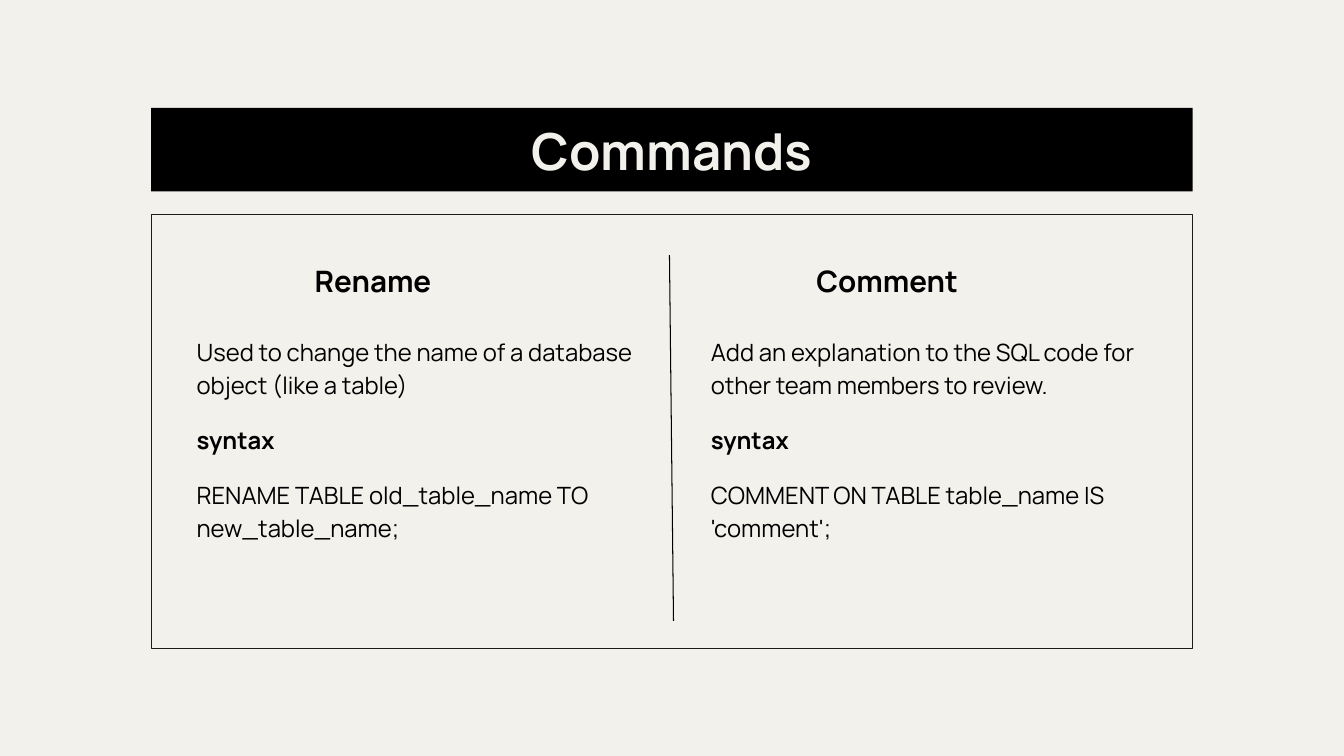
from lxml.etree import SubElement
from pptx import Presentation
from pptx.dml.color import RGBColor
from pptx.enum.shapes import MSO_CONNECTOR, MSO_SHAPE
from pptx.enum.text import MSO_ANCHOR, PP_ALIGN
from pptx.oxml.ns import qn
from pptx.util import Inches, Pt

COLORS = {"paper": "F3F1EC", "black": "000000", "frame": "1C1B1A"}
FONT = "Manrope"

HEADING = {"alignment": PP_ALIGN.CENTER, "line_spacing": 0.95, "space_after": Pt(16)}
BODY = {"alignment": PP_ALIGN.LEFT, "line_spacing": 1.15}
SYNTAX = {**BODY, "space_before": Pt(16)}
CODE = {**SYNTAX, "space_after": Pt(16)}

# Left edge, body width, heading, description, code
COLUMNS = [
    (1.82, 4.59, "Rename",
     "Used to change the name of a database object (like a table)",
     "RENAME TABLE old_table_name TO new_table_name;"),
    (6.92, 4.91, "Comment",
     "Add an explanation to the SQL code for other team members to review.",
     "COMMENT ON TABLE table_name IS 'comment';"),
]


def color(name):
    return RGBColor.from_string(COLORS[name])


def apply(target, values):
    for name, value in values.items():
        setattr(target, name, value)


class SlideBuilder:
    def __init__(self, page):
        self.page = page
        page.background.fill.solid()
        page.background.fill.fore_color.rgb = color("paper")

    def rectangle(self, left, top, width, height, fill=None, line=None):
        box = self.page.shapes.add_shape(
            MSO_SHAPE.RECTANGLE, *map(Inches, (left, top, width, height)))
        box.shadow.inherit = False
        if fill:
            box.fill.solid()
            box.fill.fore_color.rgb = color(fill)
        else:
            box.fill.background()
        if line:
            box.line.color.rgb = color(line)
            box.line.width = Pt(0.75)
        else:
            box.line.fill.background()
        return box

    def set_text(self, box, paragraphs, size, ink="black", anchor=MSO_ANCHOR.MIDDLE):
        """Fill a box with (text, bold, paragraph format) entries."""
        frame = box.text_frame
        margins = dict.fromkeys(
            ("margin_left", "margin_top", "margin_right", "margin_bottom"), Inches(0.13))
        apply(frame, {"word_wrap": True, "vertical_anchor": anchor, **margins})
        for index, (text, bold, layout) in enumerate(paragraphs):
            para = frame.add_paragraph() if index else frame.paragraphs[0]
            apply(para, layout)
            span = para.add_run()
            span.text = text
            apply(span.font, {"name": FONT, "size": Pt(size), "bold": bold})
            span.font.color.rgb = color(ink)

    def text(self, left, top, width, height, paragraphs, size, **options):
        box = self.page.shapes.add_textbox(*map(Inches, (left, top, width, height)))
        self.set_text(box, paragraphs, size, **options)

    def line(self, *ends):
        rule = self.page.shapes.add_connector(MSO_CONNECTOR.STRAIGHT, *map(Inches, ends))
        rule.line.color.rgb = color("black")
        rule.line.width = Pt(0.75)
        SubElement(rule._element.spPr, qn("a:effectLst"))


def main():
    deck = Presentation()
    deck.slide_width, deck.slide_height = Inches(13.33), Inches(7.5)
    slide = SlideBuilder(deck.slides.add_slide(deck.slide_layouts[6]))

    # Frame and title bar
    slide.rectangle(1.5, 2.13, 10.33, 4.3, line="frame")
    title = slide.rectangle(1.5, 1.07, 10.33, 0.83, fill="black")
    slide.set_text(title, [("Commands", True, {"alignment": PP_ALIGN.CENTER})],
                   36.4, ink="paper")

    # Command columns
    for left, width, heading, description, code in COLUMNS:
        slide.text(left, 3.18, width, 2.99,
                   [(description, False, BODY), ("syntax", True, SYNTAX), (code, False, CODE)],
                   17, anchor=MSO_ANCHOR.TOP)
        slide.text(left, 2.53, 3.76, 0.54, [(heading, True, HEADING)], 21.1)

    # Divider
    slide.line(6.64, 2.53, 6.68, 6.16)

    deck.save("out.pptx")


if __name__ == "__main__":
    main()
